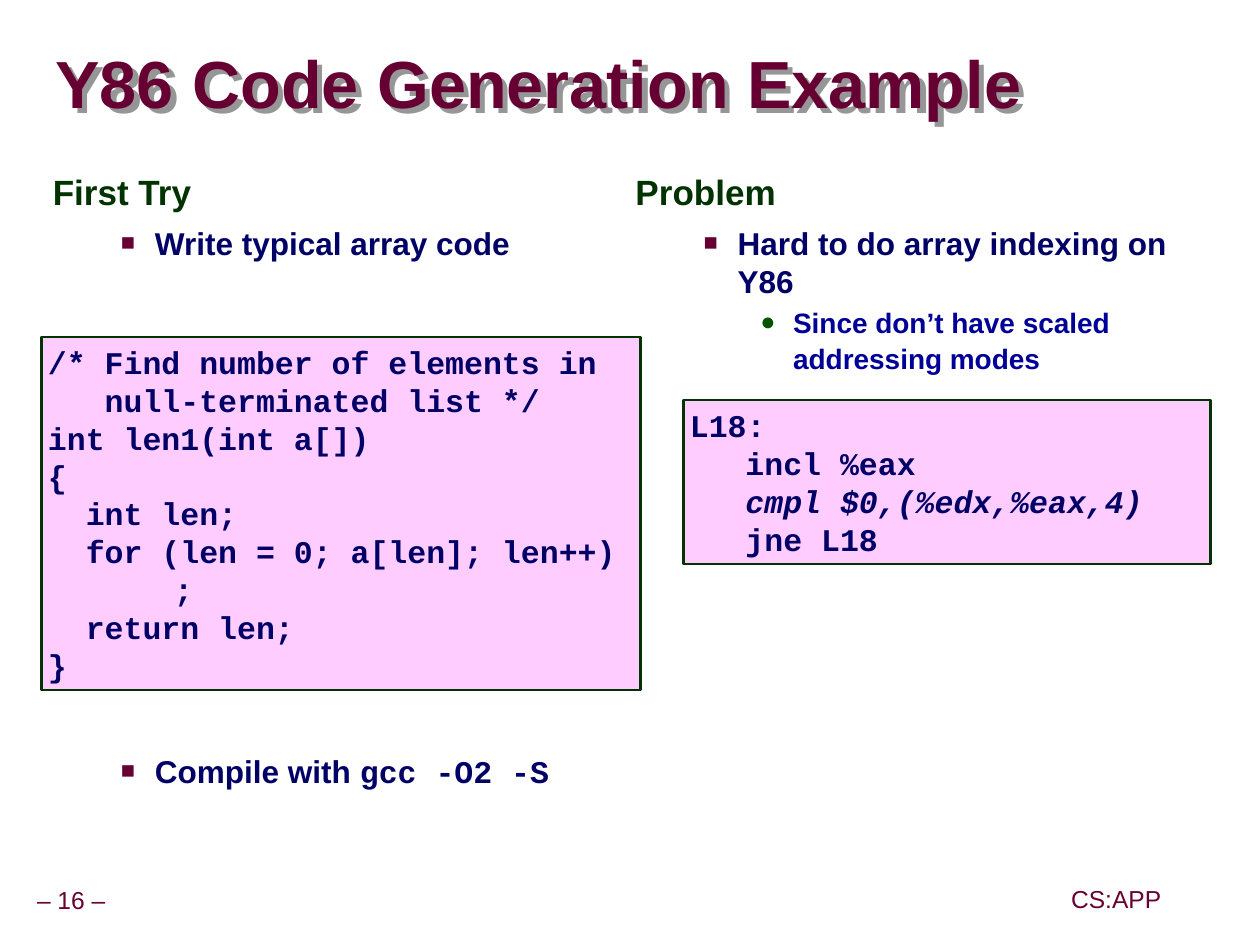
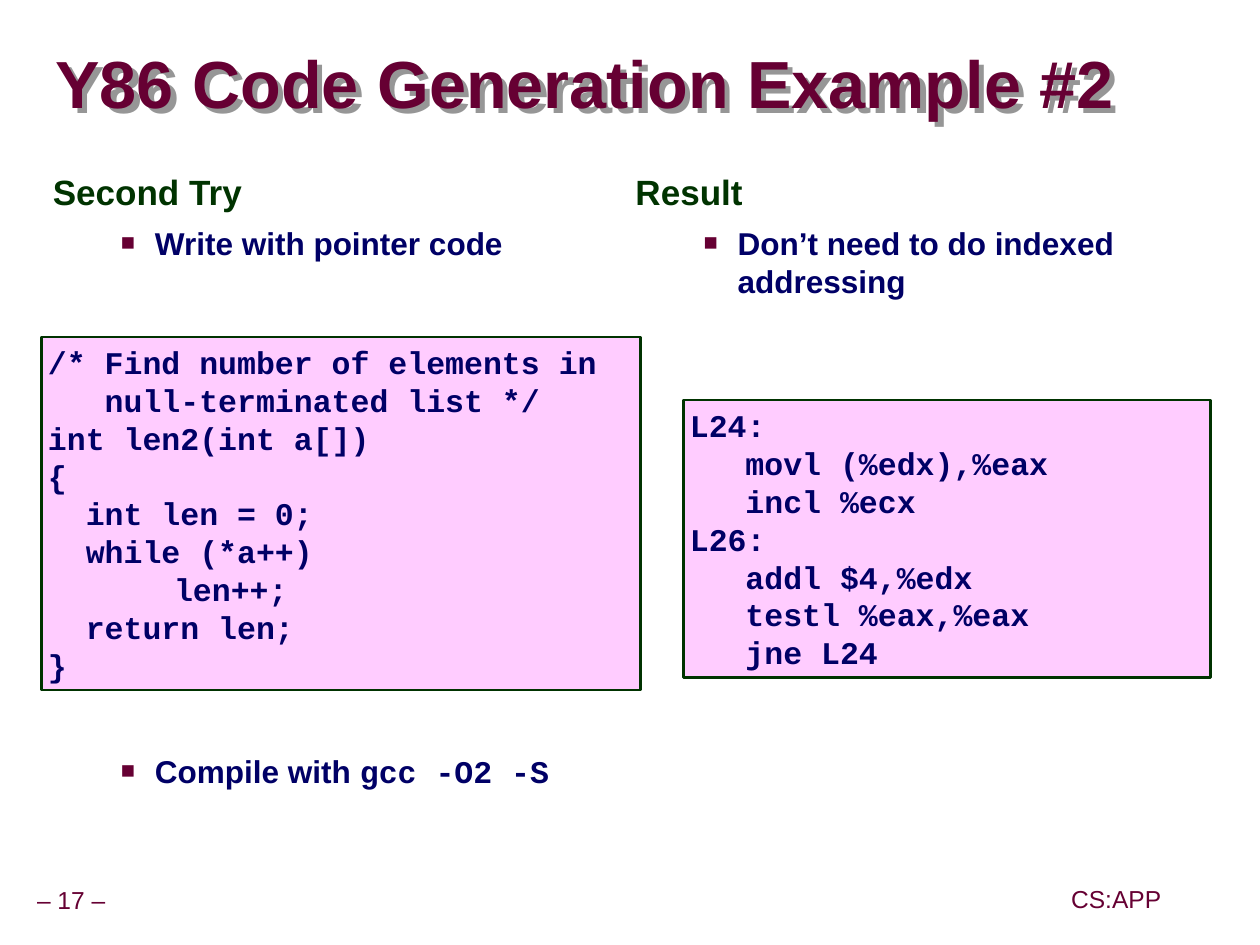
from dataclasses import dataclass

from lxml.etree import SubElement
from pptx import Presentation
from pptx.dml.color import RGBColor as RGB
from pptx.enum.shapes import MSO_SHAPE as Shape
from pptx.enum.text import MSO_ANCHOR as Anchor, PP_ALIGN as Align
from pptx.oxml.ns import qn
from pptx.util import Inches, Pt


@dataclass(frozen=True)
class Theme:
    sans: str = "Arial"
    mono: str = "Courier New"
    maroon: str = "660033"
    green: str = "003300"
    navy: str = "000066"
    blue: str = "000099"
    dot_green: str = "005400"
    pink: str = "FFCCFF"
    shadow: str = "969696"
    title_size: int = 38
    heading_size: int = 20
    text_size: int = 18
    detail_size: int = 16
    footer_size: int = 14


@dataclass(frozen=True)
class Level:
    mark: str
    mark_color: str
    mark_percent: int
    indent: float
    hanging: float
    size: int
    color: str
    before: float
    spacing: float


THEME = Theme()
POINT = Level("■", THEME.maroon, 75, 0.81, 0.27, THEME.text_size, THEME.navy, 5.6, 1.0)
DETAIL = Level("●", THEME.dot_green, 90, 1.25, 0.26, THEME.detail_size, THEME.blue, 2, 1.07)

LEFT, RIGHT = 0.32, 4.94
COLUMN_WIDTH = 4.45
CODE_LINE = 0.3
CODE_INSET = 0.05

C_CODE = """/* Find number of elements in
   null-terminated list */
int {name}(int a[])
{{
  {declare}
  {loop}
\t{step}
  return len;
}}"""

SLIDES = [
    dict(
        number=16,
        title="Y86 Code Generation Example",
        attempt="First Try",
        approach="Write typical array code",
        c_code=C_CODE.format(name="len1", declare="int len;",
                             loop="for (len = 0; a[len]; len++)", step=";"),
        outcome="Problem",
        findings=[("Hard to do array indexing on Y86", POINT),
                  ("Since don’t have scaled addressing modes", DETAIL)],
        assembly="L18:\n\tincl %eax\n\tcmpl $0,(%edx,%eax,4)\n\tjne L18",
        emphasis="cmpl",
    ),
    dict(
        number=17,
        title="Y86 Code Generation Example #2",
        attempt="Second Try",
        approach="Write with pointer code",
        c_code=C_CODE.format(name="len2", declare="int len = 0;",
                             loop="while (*a++)", step="len++;"),
        outcome="Result",
        findings=[("Don’t need to do indexed addressing", POINT)],
        assembly="L24:\n\tmovl (%edx),%eax\n\tincl %ecx\nL26:\n"
                 "\taddl $4,%edx\n\ttestl %eax,%eax\n\tjne L24",
        emphasis=None,
    ),
]


def style(paragraph, size, color, name=THEME.sans, bold=True):
    for run in paragraph.runs:
        run.font.size = Pt(size)
        run.font.name = name
        run.font.bold = bold
        run.font.color.rgb = RGB.from_string(color)


def set_insets(frame, across, down):
    frame.margin_left = frame.margin_right = Inches(across)
    frame.margin_top = frame.margin_bottom = Inches(down)


def add_text_frame(slide, left, top, width, height, inset=0.1):
    box = slide.shapes.add_textbox(Inches(left), Inches(top), Inches(width), Inches(height))
    frame = box.text_frame
    frame.word_wrap = True
    set_insets(frame, inset, 0.05)
    return frame


def add_title(slide, text):
    title = slide.shapes.title
    title.left, title.top = Inches(0.44), Inches(0.27)
    title.width, title.height = Inches(9.52), Inches(0.85)
    frame = title.text_frame
    frame.text = text
    frame.word_wrap = True
    frame.vertical_anchor = Anchor.MIDDLE
    set_insets(frame, 0, 0)
    heading = frame.paragraphs[0]
    heading.alignment = Align.LEFT
    heading.line_spacing = 0.87
    style(heading, THEME.title_size, THEME.maroon)
    effects = SubElement(title._element.spPr, qn("a:effectLst"))
    shadow = SubElement(effects, qn("a:outerShdw"), dist=str(Inches(0.06)), dir="2700000")
    SubElement(shadow, qn("a:srgbClr"), val=THEME.shadow)


def add_footer(slide, text, left, top, width):
    frame = add_text_frame(slide, left, top, width, 0.31, 0.05)
    frame.text = text
    frame.word_wrap = False
    frame.vertical_anchor = Anchor.MIDDLE
    label = frame.paragraphs[0]
    label.alignment = Align.CENTER
    label.line_spacing = 0.9
    style(label, THEME.footer_size, THEME.maroon, bold=False)


def format_bullet(paragraph, level):
    paragraph.line_spacing = level.spacing
    props = paragraph._p.get_or_add_pPr()
    props.set("marL", str(Inches(level.indent)))
    props.set("indent", str(-Inches(level.hanging)))
    color = SubElement(props, qn("a:buClr"))
    SubElement(color, qn("a:srgbClr"), val=level.mark_color)
    SubElement(props, qn("a:buSzPct"), val=str(level.mark_percent * 1000))
    SubElement(props, qn("a:buFont"), typeface=THEME.sans)
    SubElement(props, qn("a:buChar"), char=level.mark)
    style(paragraph, level.size, level.color)


def add_column(slide, left, heading, bullets):
    frame = add_text_frame(slide, left, 1.33, COLUMN_WIDTH, 1.8)
    frame.text = heading
    frame.paragraphs[0].line_spacing = 0.95
    style(frame.paragraphs[0], THEME.heading_size, THEME.green)
    for text, level in bullets:
        bullet = frame.add_paragraph()
        bullet.text = text
        bullet.space_before = Pt(level.before)
        format_bullet(bullet, level)


def add_compile_step(slide):
    frame = add_text_frame(slide, LEFT, 5.91, COLUMN_WIDTH, 0.4)
    frame.text = "Compile with "
    step = frame.paragraphs[0]
    command = step.add_run()
    command.text = "gcc -O2 -S"
    format_bullet(step, POINT)
    command.font.name = THEME.mono


def add_code(slide, left, top, width, code, tab, emphasis=None):
    height = CODE_LINE * len(code.splitlines()) + 2 * CODE_INSET
    panel = slide.shapes.add_shape(Shape.RECTANGLE, Inches(left), Inches(top),
                                   Inches(width), Inches(height))
    panel.shadow.inherit = False
    panel.fill.solid()
    panel.fill.fore_color.rgb = RGB.from_string(THEME.pink)
    panel.line.color.rgb = RGB.from_string(THEME.green)
    panel.line.width = Pt(1.5)
    frame = panel.text_frame
    frame.text = code
    frame.word_wrap = True
    frame.vertical_anchor = Anchor.TOP
    set_insets(frame, CODE_INSET, CODE_INSET)
    for line in frame.paragraphs:
        line.alignment = Align.LEFT
        tabs = SubElement(line._p.get_or_add_pPr(), qn("a:tabLst"))
        SubElement(tabs, qn("a:tab"), pos=str(Inches(tab)), algn="l")
        style(line, THEME.text_size, THEME.navy, THEME.mono)
        if emphasis and emphasis in line.text:
            line.runs[0].font.italic = True


def add_example(deck, example):
    slide = deck.slides.add_slide(deck.slide_layouts[5])
    add_footer(slide, f"– {example['number']} –", -0.09, 6.99, 1.31)
    add_footer(slide, "CS:APP", 8.44, 6.98, 0.82)
    add_title(slide, example["title"])
    add_column(slide, LEFT, example["attempt"], [(example["approach"], POINT)])
    add_compile_step(slide)
    add_column(slide, RIGHT, example["outcome"], example["findings"])
    add_code(slide, 0.33, 2.67, 4.75, example["c_code"], 1)
    add_code(slide, 5.42, 3.17, 4.18, example["assembly"], 0.44, example["emphasis"])


def main():
    deck = Presentation()
    deck.slide_width, deck.slide_height = Inches(9.99), Inches(7.49)
    for example in SLIDES:
        add_example(deck, example)
    deck.save("out.pptx")


if __name__ == "__main__":
    main()
